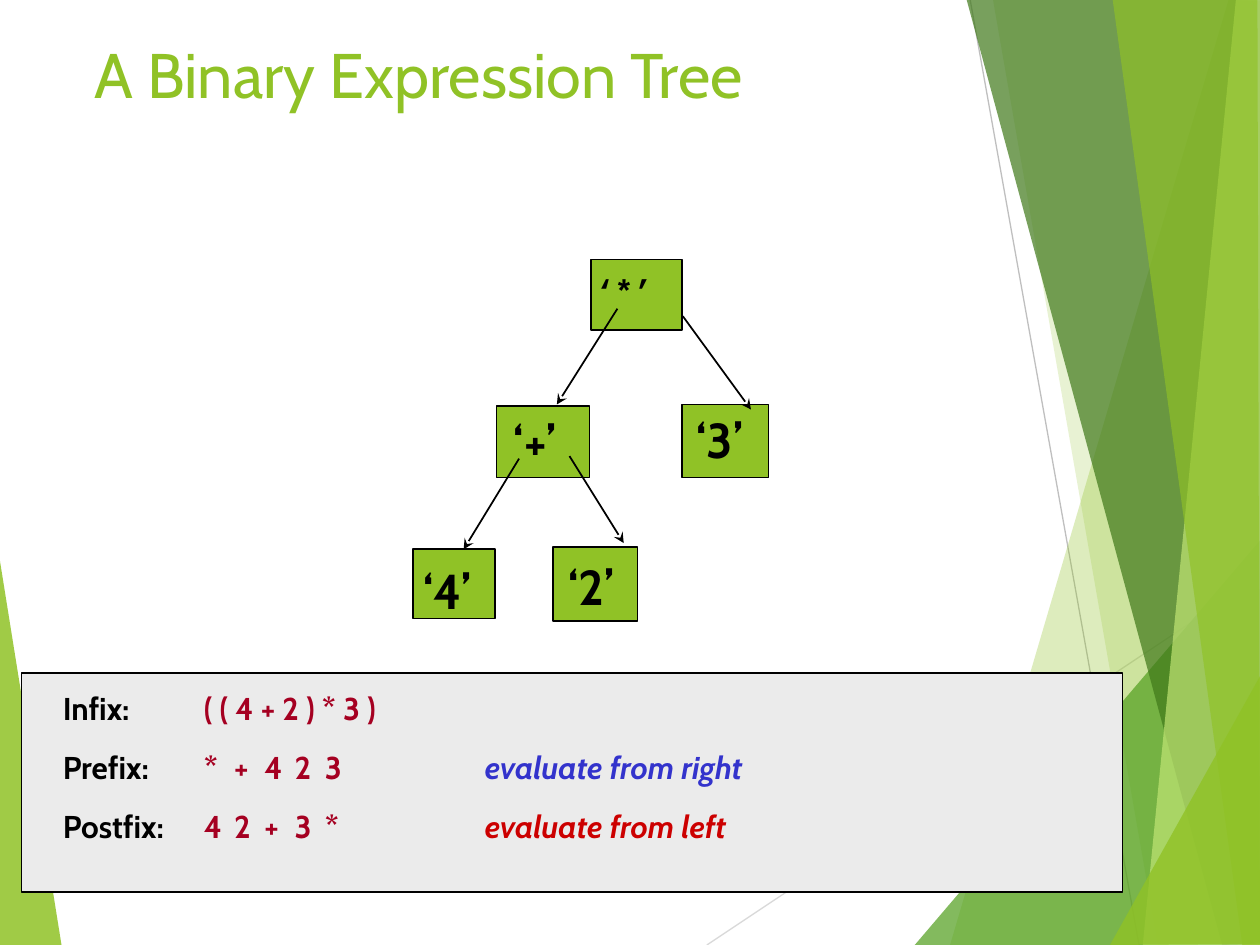
from lxml.etree import SubElement
from pptx import Presentation
from pptx.dml.color import RGBColor
from pptx.enum.shapes import MSO_CONNECTOR, MSO_SHAPE
from pptx.oxml.ns import qn
from pptx.util import Inches, Pt

COLOR = {
    "lime": "90C226", "green": "54A021", "dark": "3F7819", "pale": "C0E474",
    "panel": "EBEBEB", "black": "000000", "mist": "D9D9D9", "gray": "BFBFBF",
    "wine": "A50021", "blue": "3333CC", "red": "CC0000",
}
RGB = {name: RGBColor.from_string(code) for name, code in COLOR.items()}

deck = Presentation()
deck.slide_width, deck.slide_height = Inches(10), Inches(7.5)
slide = deck.slides.add_slide(deck.slide_layouts[6])
shapes = slide.shapes


def add_line(start, end, color, width):
    ends = [Inches(v) for v in (*start, *end)]
    line = shapes.add_connector(MSO_CONNECTOR.STRAIGHT, *ends)
    line.line.color.rgb = RGB[color]
    line.line.width = Pt(width)
    SubElement(line._element.spPr, qn("a:effectLst"))
    return line


def add_text(box, text, size, color="black", font="Cabin", bold=True):
    frame = shapes.add_textbox(*[Inches(v) for v in box]).text_frame
    frame.word_wrap = True
    para = frame.paragraphs[0]
    para.text = text
    para.font.size, para.font.name, para.font.bold = Pt(size), font, bold
    para.font.color.rgb = RGB[color]


# Thin background lines
add_line((5.61, 7.5), (10.01, 4.57), "mist", 0.75)
add_line((7.7, 0), (9.04, 7.5), "gray", 0.75)

# Translucent facets: color, opacity in percent, corners
facets = [
    ("lime", 85, [(-0.01, 4.39), (0.49, 7.51), (-0.01, 7.5)]),
    ("lime", 30, [(9.75, 0), (7.54, 7.5), (10.02, 7.51), (10.01, 0.01)]),
    ("lime", 20, [(7.88, -0.01), (9.19, 7.5), (10.01, 7.5), (10.01, -0.01)]),
    ("green", 72, [(7.26, 7.5), (10, 4.29), (10.01, 7.5)]),
    ("dark", 70, [(7.67, -0.01), (9.7, 7.5), (10.01, 7.49), (10.01, -0.01)]),
    ("pale", 70, [(9.81, -0.01), (9.07, 7.5), (10.01, 7.5), (10, -0.01)]),
    ("lime", 65, [(8.83, -0.01), (9.86, 7.5), (10, 7.5), (9.98, -0.01)]),
    ("lime", 80, [(8.81, 7.5), (10.01, 5.35), (10.01, 7.49)]),
]
for color, alpha, corners in facets:
    points = [(Inches(x), Inches(y)) for x, y in corners]
    pen = shapes.build_freeform(*points[0])
    pen.add_line_segments(points[1:], close=True)
    facet = pen.convert_to_shape()
    facet.shadow.inherit = False
    facet.line.fill.background()
    facet.fill.solid()
    facet.fill.fore_color.rgb = RGB[color]
    tint = facet._element.spPr.find(".//" + qn("a:srgbClr"))
    SubElement(tint, qn("a:alpha")).set("val", str(alpha * 1000))

# Title
add_text((0.65, 0.23, 8.58, 1.25), "A Binary Expression Tree", 36, "lime",
         bold=False)

# Notation panel and tree nodes
rects = [
    ("panel", (0.17, 5.34, 8.74, 1.74)),
    ("lime", (4.69, 2.06, 0.72, 0.56)),
    ("lime", (3.94, 3.22, 0.74, 0.57)),
    ("lime", (5.41, 3.21, 0.69, 0.58)),
    ("lime", (3.28, 4.36, 0.65, 0.55)),
    ("lime", (4.39, 4.34, 0.67, 0.59)),
]
for color, box in rects:
    rect = shapes.add_shape(MSO_SHAPE.RECTANGLE, *[Inches(v) for v in box])
    rect.shadow.inherit = False
    rect.fill.solid()
    rect.fill.fore_color.rgb = RGB[color]
    rect.line.color.rgb = RGB["black"]
    rect.line.width = Pt(1)

# Arrows, from child to parent with the head at the child
arrows = [
    ((5.96, 3.25), (5.42, 2.51)),
    ((4.95, 4.31), (4.52, 3.62)),
    ((3.68, 4.36), (4.12, 3.64)),
    ((4.42, 3.21), (4.9, 2.45)),
]
for child, parent in arrows:
    arrow = add_line(child, parent, "black", 1)
    SubElement(arrow.line._get_or_add_ln(), qn("a:headEnd")).set("type", "stealth")

# Node labels
add_text((4.63, 2.1, 0.8, 0.5), "‘*’", 18, font="Courier New")
labels = [("‘+’", 3.98, 3.22), ("‘4’", 3.26, 4.4), ("‘3’", 5.43, 3.2),
          ("‘2’", 4.41, 4.37)]
for text, left, top in labels:
    add_text((left, top, 0.68, 0.57), text, 28)

# Notations: tab stops align the symbols and the remarks
rows = [
    ("Infix:", "( ( 4 + 2 ) * 3 )", "", "black"),
    ("Prefix:", "*\t+\t4\t2\t3", "evaluate from right", "blue"),
    ("Postfix:", "4\t2\t+\t3\t*", "evaluate from left", "red"),
]
stops = [1.12 + 0.24 * i for i in range(5)] + [3.35]
frame = shapes.add_textbox(Inches(0.4), Inches(5.42), Inches(8.43),
                           Inches(1.63)).text_frame
frame.word_wrap = True
for i, (name, terms, remark, color) in enumerate(rows):
    para = frame.add_paragraph() if i else frame.paragraphs[0]
    tabs = SubElement(para._p.get_or_add_pPr(), qn("a:tabLst"))
    for stop in stops:
        tab = SubElement(tabs, qn("a:tab"))
        tab.set("pos", str(Inches(stop)))
        tab.set("algn", "l")
    if i:
        para.space_before = Pt(12)
    para.font.name, para.font.size, para.font.bold = "Cabin", Pt(18), True
    parts = [(name, "black"), ("\t" + terms, "wine")]
    if remark:
        parts.append(("\t" + remark, color))
    for text, shade in parts:
        run = para.add_run()
        run.text = text
        run.font.color.rgb = RGB[shade]
    if remark:
        run.font.italic = True

deck.save("out.pptx")
